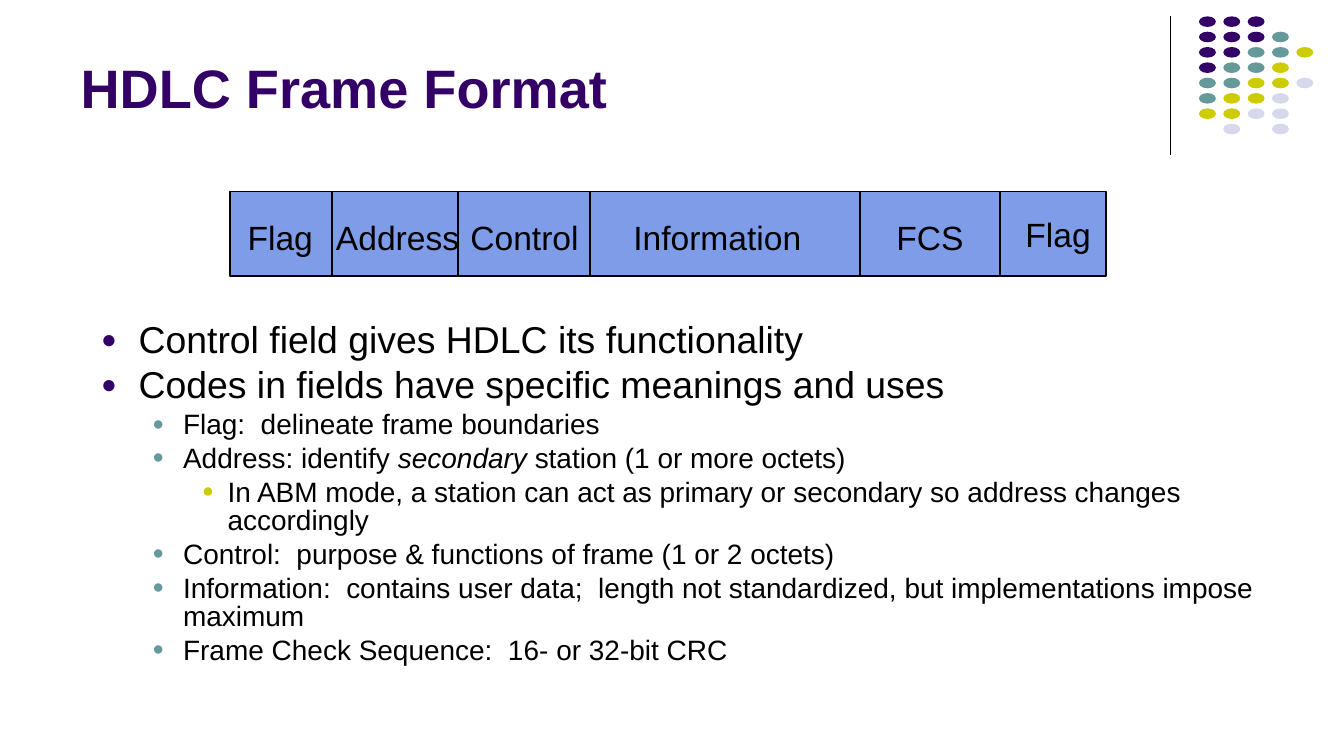
from dataclasses import dataclass

from lxml import etree
from pptx import Presentation
from pptx.dml.color import RGBColor
from pptx.enum.shapes import MSO_CONNECTOR, MSO_SHAPE
from pptx.enum.text import MSO_ANCHOR, MSO_AUTO_SIZE, PP_ALIGN
from pptx.oxml.ns import qn
from pptx.util import Cm, Pt

STRAIGHT = MSO_CONNECTOR.STRAIGHT
ELLIPSE, RECTANGLE = MSO_SHAPE.OVAL, MSO_SHAPE.RECTANGLE
TOP, BOTTOM = MSO_ANCHOR.TOP, MSO_ANCHOR.BOTTOM
NO_FIT = MSO_AUTO_SIZE.NONE
LEFT = PP_ALIGN.LEFT


@dataclass(frozen=True)
class Theme:
    """Colours, font and type sizes of the deck."""

    font: str = "Arial"
    text: str = "000000"
    field: str = "7E9CE8"
    purple: str = "330066"
    teal: str = "669999"
    olive: str = "CCCC00"
    mist: str = "D8D8EC"
    title_size: int = 29
    label_size: int = 18
    level_sizes: tuple = (20, 15, 15)


THEME = Theme()
DOT_COLOURS = {"p": THEME.purple, "t": THEME.teal, "o": THEME.olive, "m": THEME.mist}
DOT_ROWS = ("ppp", "pppt", "pptto", "ptto", "ttoom", "toom", "oomm", " m m")
BULLET_COLOURS = (THEME.purple, THEME.teal, THEME.olive)
LEVEL_INDENTS = ((0.71, -0.71), (1.55, -0.58), (2.39, -0.48))

# name, cell left, label left, label top, label width
FIELDS = (
    ("Flag", 4.34, 4.5, 4.01, 1.63),
    ("Address", 6.27, 6.17, 4.01, 2.74),
    ("Control", 8.66, 8.71, 4, 2.44),
    ("Information", 11.15, 11.79, 4, 3.58),
    ("FCS", 16.26, 16.76, 4, 1.68),
    ("Flag", 18.9, 19.2, 3.94, 1.63),
)

BULLETS = (
    (0, ("Control field gives HDLC its functionality",)),
    (0, ("Codes in fields have specific meanings and uses",)),
    (1, ("Flag:  delineate frame boundaries",)),
    (1, ("Address: identify ", "secondary", " station (1 or more octets)")),
    (2, ("In ABM mode, a station can act as primary or secondary so address changes accordingly",)),
    (1, ("Control:  purpose & functions of frame (1 or 2 octets)",)),
    (1, ("Information:  contains user data;  length not standardized, but implementations impose maximum",)),
    (1, ("Frame Check Sequence:  16- or 32-bit CRC",)),
)


class SlideBuilder:
    """Draws styled elements on the current slide."""

    def __init__(self, slide, theme):
        self.slide = slide
        self.theme = theme

    def style(self, para, size, colour, bold=False):
        """Set the font of a paragraph."""
        font = para.font
        font.name, font.size, font.bold = self.theme.font, Pt(size), bold
        font.color.rgb = RGBColor.from_string(colour)

    def place(self, box, left, top, width, height):
        """Move and size a placeholder."""
        box.left, box.top, box.width, box.height = map(Cm, (left, top, width, height))

    def inset(self, frame):
        """Give a text frame the narrow margins."""
        frame.margin_left = frame.margin_right = Cm(0.18)
        frame.margin_top = frame.margin_bottom = Cm(0.1)

    def title(self, text, *bounds):
        """Fill the title placeholder."""
        box = self.slide.shapes.title
        self.place(box, *bounds)
        frame = box.text_frame
        frame.text = text
        frame.auto_size, frame.vertical_anchor = NO_FIT, BOTTOM
        para = frame.paragraphs[0]
        para.alignment = LEFT
        self.style(para, self.theme.title_size, self.theme.purple, bold=True)

    def bullet(self, para, level):
        """Add the bullet and indents of a list level."""
        margin, indent = LEVEL_INDENTS[level]
        properties = para._p.get_or_add_pPr()
        properties.set("marL", str(Cm(margin)))
        properties.set("indent", str(Cm(indent)))
        colour = etree.SubElement(properties, qn("a:buClr"))
        etree.SubElement(colour, qn("a:srgbClr"), val=BULLET_COLOURS[level])
        etree.SubElement(properties, qn("a:buSzPct"), val="70000")
        etree.SubElement(properties, qn("a:buFont"), typeface=self.theme.font)
        etree.SubElement(properties, qn("a:buChar"), char="●")

    def body(self, items, *bounds):
        """Fill the body placeholder with a list whose second spans are italic."""
        box = self.slide.placeholders[1]
        self.place(box, *bounds)
        frame = box.text_frame
        frame.auto_size, frame.vertical_anchor = NO_FIT, TOP
        self.inset(frame)
        for index, (level, spans) in enumerate(items):
            para = frame.add_paragraph() if index else frame.paragraphs[0]
            size = self.theme.level_sizes[level]
            para.level = level
            self.bullet(para, level)
            para.line_spacing = 0.84
            para.space_before = Pt(size * 0.2 if index else 0)
            self.style(para, size, self.theme.text)
            for position, text in enumerate(spans):
                span = para.add_run()
                span.text = text
                if position == 1:
                    span.font.italic = True

    def shape(self, kind, bounds, fill, line_width=0):
        """Add a filled shape, outlined when a line width is given."""
        shape = self.slide.shapes.add_shape(kind, *map(Cm, bounds))
        shape.shadow.inherit = False
        shape.fill.solid()
        shape.fill.fore_color.rgb = RGBColor.from_string(fill)
        if line_width:
            shape.line.width = Pt(line_width)
            shape.line.color.rgb = RGBColor.from_string(self.theme.text)
        else:
            shape.line.fill.background()

    def vertical_line(self, x, top, bottom, width):
        """Add a vertical line."""
        line = self.slide.shapes.add_connector(STRAIGHT, *map(Cm, (x, top, x, bottom)))
        line.line.width = Pt(width)
        line.line.color.rgb = RGBColor.from_string(self.theme.text)
        etree.SubElement(line._element.spPr, qn("a:effectLst"))

    def label(self, text, *bounds):
        """Add a one-line text box."""
        frame = self.slide.shapes.add_textbox(*map(Cm, bounds)).text_frame
        frame.word_wrap = False
        self.inset(frame)
        frame.text = text
        self.style(frame.paragraphs[0], self.theme.label_size, self.theme.text)

    def dots(self, left, top):
        """Add the corner pattern of dots."""
        for row, codes in enumerate(DOT_ROWS):
            for column, code in enumerate(codes):
                if code in DOT_COLOURS:
                    bounds = (left + column * 0.46, top + row * 0.29, 0.32, 0.2)
                    self.shape(ELLIPSE, bounds, DOT_COLOURS[code])

    def frame_diagram(self):
        """Add the frame bar with its fields."""
        self.shape(RECTANGLE, (4.34, 3.62, 16.56, 1.6), self.theme.field, 1)
        for index, (name, cell_left, left, top, width) in enumerate(FIELDS):
            if index:
                self.vertical_line(cell_left, 3.63, 5.21, 1)
            self.label(name, left, top, width, 0.96)


def main():
    """Build and save the deck."""
    deck = Presentation()
    deck.slide_width, deck.slide_height = Cm(25.4), Cm(14.29)
    page = SlideBuilder(deck.slides.add_slide(deck.slide_layouts[1]), THEME)
    page.vertical_line(22.12, 0.31, 2.93, 0.75)
    page.dots(22.66, 0.31)
    page.title("HDLC Frame Format", 1.27, 0.25, 20.96, 2.13)
    page.body(BULLETS, 1.73, 6.02, 22.43, 6.81)
    page.frame_diagram()
    deck.save("out.pptx")


if __name__ == "__main__":
    main()
